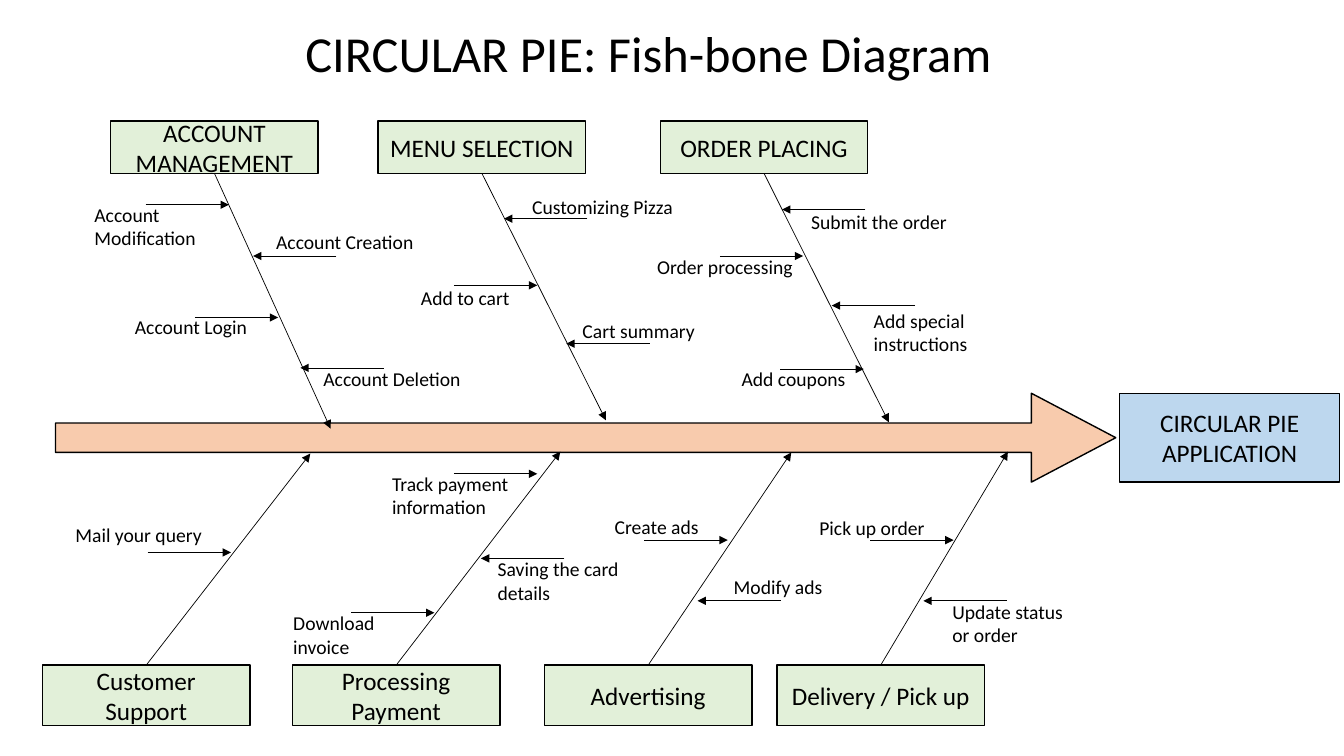
from dataclasses import dataclass

from lxml.etree import SubElement
from pptx import Presentation
from pptx.dml.color import RGBColor
from pptx.enum.shapes import MSO_CONNECTOR, MSO_SHAPE
from pptx.enum.text import MSO_ANCHOR, MSO_AUTO_SIZE, PP_ALIGN
from pptx.oxml.ns import qn
from pptx.util import Cm, Pt


@dataclass(frozen=True)
class Theme:
    """Colours, type sizes and line widths of the slide."""
    font: str = "Calibri"
    ink: RGBColor = RGBColor(0, 0, 0)
    spine: RGBColor = RGBColor(0xF8, 0xCB, 0xAD)
    category: RGBColor = RGBColor(0xE2, 0xF0, 0xD9)
    effect: RGBColor = RGBColor(0xBD, 0xD7, 0xEE)
    title_size: Pt = Pt(36)
    box_size: Pt = Pt(18)
    cause_size: Pt = Pt(14)
    outline: Pt = Pt(1)
    arrow: Pt = Pt(0.5)


@dataclass(frozen=True)
class Cause:
    """A cause label with the point on the bone that its arrow meets."""
    label: str
    left: float
    top: float
    width: float
    tip: tuple
    lines: int = 1


@dataclass(frozen=True)
class Bone:
    """A category box, the spine point its bone meets, and its causes."""
    category: str
    left: float
    tip: tuple
    causes: tuple


THEME = Theme()
BOX_WIDTH = 5.23
UPPER_TOP, UPPER_HEIGHT = 3.05, 1.32
LOWER_TOP, LOWER_HEIGHT = 16.76, 1.52
SPINE_TOP, SPINE_HEIGHT = 9.91, 2.24
CAUSE_ARROW = 2.1

UPPER_BONES = (
    Bone("ACCOUNT MANAGEMENT", 2.79, (8.33, 10.8), (
        Cause("Account Modification", 2.13, 4.98, 3.61, (5.77, 5.16), 2),
        Cause("Account Creation", 6.71, 5.66, 4.17, (6.38, 6.45)),
        Cause("Account Login", 3.15, 7.82, 4.65, (7.01, 8)),
        Cause("Account Deletion", 7.9, 9.12, 4.65, (7.57, 9.27)))),
    Bone("MENU SELECTION", 9.53, (15.27, 10.59), (
        Cause("Customizing Pizza", 13.16, 4.78, 4.52, (12.7, 5.51)),
        Cause("Add to cart", 10.36, 7.09, 3.81, (13.54, 7.19)),
        Cause("Cart summary", 14.43, 7.9, 3.81, (14.27, 8.66)))),
    Bone("ORDER PLACING", 16.64, (22.4, 10.64), (
        Cause("Submit the order", 20.19, 5.16, 4.37, (19.71, 5.28)),
        Cause("Order processing", 16.31, 6.3, 4.17, (20.24, 6.45)),
        Cause("Add special instructions", 21.77, 7.65, 4.17, (20.96, 7.7), 2),
        Cause("Add coupons", 18.44, 9.12, 3.18, (21.77, 9.3)))),
)
LOWER_BONES = (
    Bone("Customer\nSupport", 1.07, (7.82, 11.43), (
        Cause("Mail your query", 1.65, 13.06, 4.01, (5.82, 13.92)),)),
    Bone("Processing Payment", 7.37, (14.12, 11.38), (
        Cause("Track payment information", 9.63, 11.76, 4.01, (13.54, 11.94), 2),
        Cause("Saving the card details", 12.29, 13.92, 3.71, (12.12, 14.07), 2),
        Cause("Download invoice", 7.14, 15.27, 3.1, (10.95, 15.44), 2))),
    Bone("Advertising", 13.72, (19.94, 11.4), (
        Cause("Create ads", 15.24, 12.85, 4.19, (18.34, 13.61)),
        Cause("Modify ads", 18.24, 14.35, 4.19, (17.58, 15.14)))),
    Bone("Delivery / Pick up", 19.58, (25.4, 11.38), (
        Cause("Pick up order", 20.4, 12.88, 3.51, (24.03, 13.61)),
        Cause("Update status or order", 23.75, 14.99, 3.51, (23.27, 15.14), 2))),
)


def write_text(shape, text, size, alignment, anchor):
    """Fill a shape with uniformly formatted text."""
    frame = shape.text_frame
    frame.text = text
    frame.word_wrap = True
    frame.auto_size = MSO_AUTO_SIZE.NONE
    frame.vertical_anchor = anchor
    for paragraph in frame.paragraphs:
        paragraph.alignment = alignment
        paragraph.font.name = THEME.font
        paragraph.font.size = size
        paragraph.font.color.rgb = THEME.ink


def add_block(slide, kind, left, top, width, height, fill):
    """Add a filled, outlined preset shape."""
    shape = slide.shapes.add_shape(kind, Cm(left), Cm(top), Cm(width), Cm(height))
    shape.shadow.inherit = False
    shape.fill.solid()
    shape.fill.fore_color.rgb = fill
    shape.line.color.rgb = THEME.ink
    shape.line.width = THEME.outline
    return shape


def add_box(slide, text, left, top, width, height, fill):
    """Add a rectangle with centred text."""
    shape = add_block(slide, MSO_SHAPE.RECTANGLE, left, top, width, height, fill)
    write_text(shape, text, THEME.box_size, PP_ALIGN.CENTER, MSO_ANCHOR.MIDDLE)


def add_arrow(slide, start, end):
    """Add a thin straight arrow from start to end."""
    points = [Cm(length) for length in (*start, *end)]
    connector = slide.shapes.add_connector(MSO_CONNECTOR.STRAIGHT, *points)
    connector.line.color.rgb = THEME.ink
    connector.line.width = THEME.arrow
    SubElement(connector.line._get_or_add_ln(), qn("a:tailEnd"), type="triangle")
    SubElement(connector._element.spPr, qn("a:effectLst"))


def add_cause(slide, cause):
    """Add a cause label and the arrow running from its side to the bone."""
    height = 0.26 + 0.6 * cause.lines
    label = slide.shapes.add_textbox(
        Cm(cause.left), Cm(cause.top), Cm(cause.width), Cm(height))
    write_text(label, cause.label, THEME.cause_size, PP_ALIGN.LEFT, MSO_ANCHOR.TOP)
    x, y = cause.tip
    offset = -CAUSE_ARROW if cause.left < x else CAUSE_ARROW
    add_arrow(slide, (x + offset, y), cause.tip)


def add_bones(slide, bones, top, height, root):
    """Add a row of category boxes with bones leaving from the root height."""
    for bone in bones:
        add_box(slide, bone.category, bone.left, top, BOX_WIDTH, height, THEME.category)
        add_arrow(slide, (bone.left + BOX_WIDTH / 2, root), bone.tip)
        for cause in bone.causes:
            add_cause(slide, cause)


def add_title(slide, text):
    """Place and format the title placeholder."""
    title = slide.shapes.title
    title.left, title.top, title.width, title.height = Cm(7.44), Cm(0.43), Cm(18.14), Cm(1.8)
    write_text(title, text, THEME.title_size, PP_ALIGN.LEFT, MSO_ANCHOR.TOP)


def add_spine(slide):
    """Add the spine arrow and the box it points at."""
    spine = add_block(slide, MSO_SHAPE.RIGHT_ARROW, 1.4, SPINE_TOP, 26.72,
                      SPINE_HEIGHT, THEME.spine)
    spine.adjustments[0] = 0.33
    spine.adjustments[1] = 0.95
    add_box(slide, "CIRCULAR PIE APPLICATION", 28.22, SPINE_TOP, 5.54,
            SPINE_HEIGHT, THEME.effect)


def main():
    """Build the fish-bone slide and save it."""
    presentation = Presentation()
    presentation.slide_width = Cm(33.87)
    presentation.slide_height = Cm(19.05)
    slide = presentation.slides.add_slide(presentation.slide_layouts[5])
    add_title(slide, "CIRCULAR PIE: Fish-bone Diagram")
    add_spine(slide)
    add_bones(slide, UPPER_BONES, UPPER_TOP, UPPER_HEIGHT, UPPER_TOP + UPPER_HEIGHT)
    add_bones(slide, LOWER_BONES, LOWER_TOP, LOWER_HEIGHT, LOWER_TOP)
    presentation.save("out.pptx")


main()
